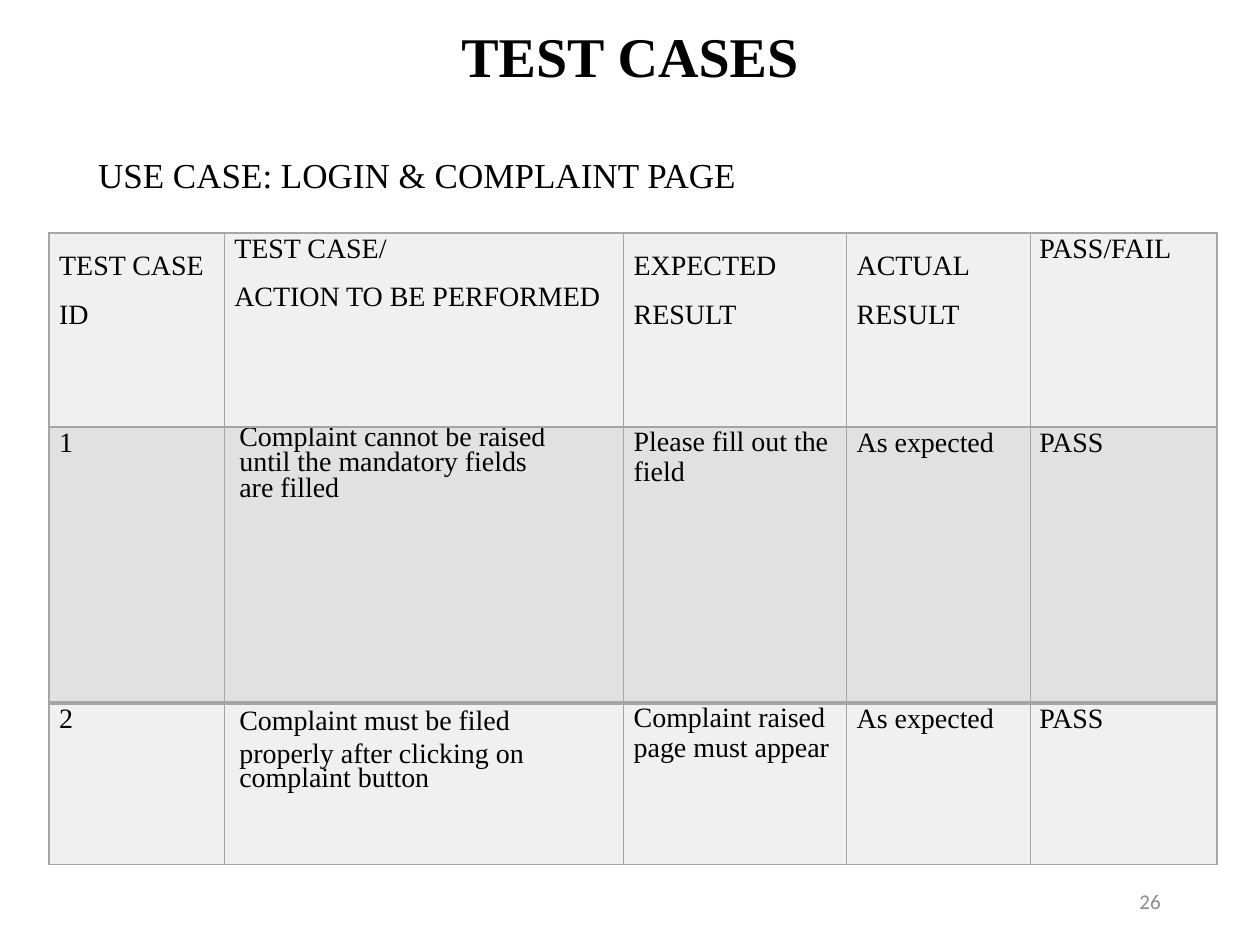
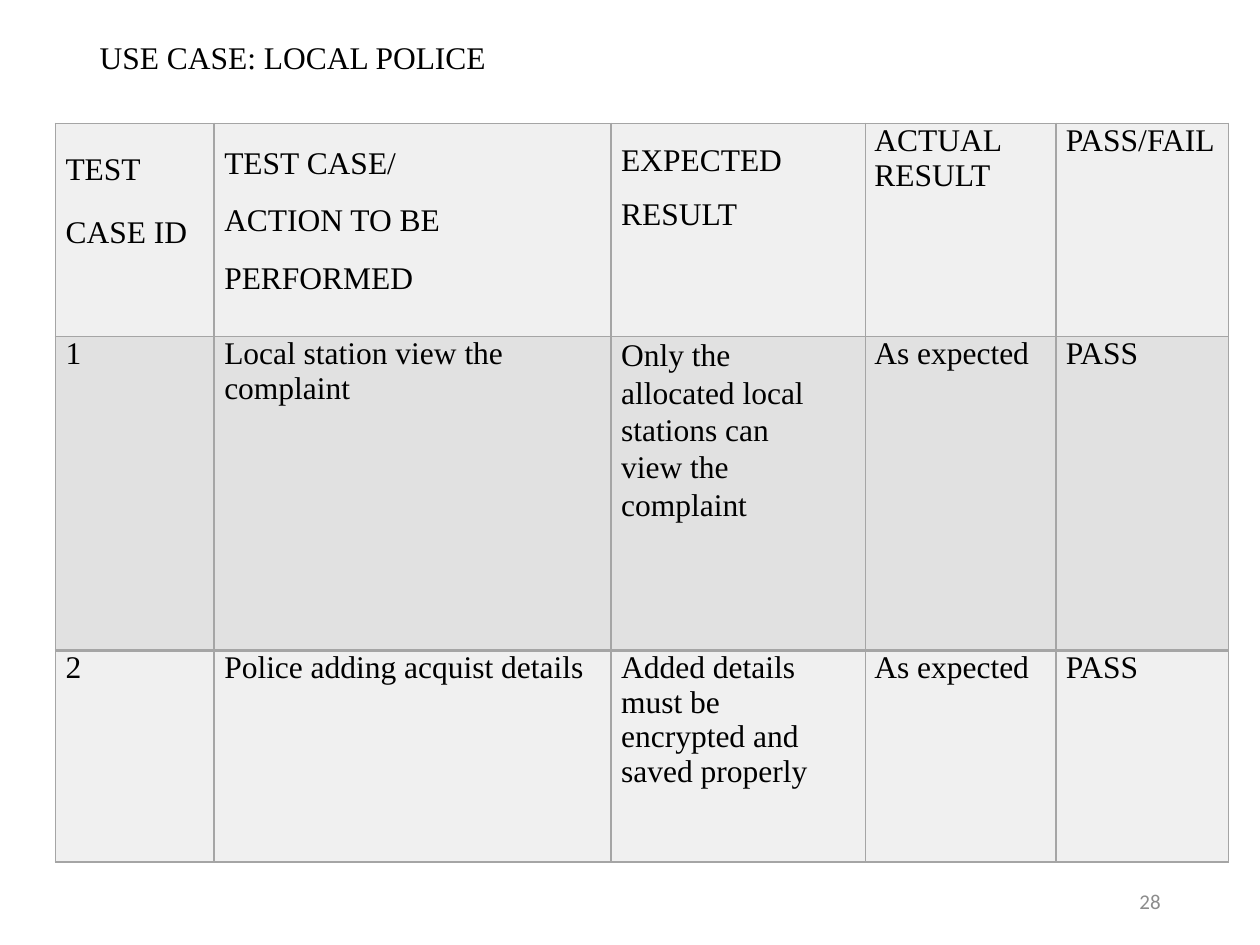
from dataclasses import dataclass

import pptx
import pptx.dml.color
import pptx.enum.text
import pptx.oxml
import pptx.oxml.ns
import pptx.util

RGBColor = pptx.dml.color.RGBColor
PP_ALIGN = pptx.enum.text.PP_ALIGN
MIDDLE = pptx.enum.text.MSO_ANCHOR.MIDDLE
Pt = pptx.util.Pt

BLACK = RGBColor(0x00, 0x00, 0x00)
WHITE = RGBColor(0xFF, 0xFF, 0xFF)
PAGE_GREY = RGBColor(0x8C, 0x8C, 0x8C)
RULE_GREY = RGBColor(0xA5, 0xA5, 0xA5)
LIGHT_BAND = RGBColor(0xF0, 0xF0, 0xF0)
DARK_BAND = RGBColor(0xE1, 0xE1, 0xE1)

SERIF = "Times New Roman"
SANS = "Calibri"

# The slide is a grid of 100 columns by 75 rows
GRID_COLUMNS, GRID_ROWS = 100, 75
TITLE_BOX = (6.9, 1.8, 86.2, 5.8)
PAGE_BOX = (70.6, 69.5, 22.5, 4)


@dataclass
class Entry:
    """Cell text: one line spacing per paragraph, space before later ones."""
    text: str
    spacing: tuple = (None,)
    before: float = 0
    left: float = 0.8
    right: float = 0


class TestCaseDeck:
    def __init__(self):
        self.prs = pptx.Presentation()
        self.prs.slide_width = pptx.util.Inches(10)
        self.prs.slide_height = pptx.util.Inches(7.5)
        self.slide = None

    def across(self, columns):
        return int(self.prs.slide_width * columns / GRID_COLUMNS)

    def down(self, rows):
        return int(self.prs.slide_height * rows / GRID_ROWS)

    def place(self, box):
        left, top, width, height = box
        return self.across(left), self.down(top), self.across(width), self.down(height)

    def set_text(self, frame, text, size, font=SERIF, color=BLACK, bold=False,
                 align=PP_ALIGN.LEFT):
        frame.text = text
        for paragraph in frame.paragraphs:
            paragraph.alignment = align
            for run in paragraph.runs:
                run.font.name = font
                run.font.size = Pt(size)
                run.font.bold = bold
                run.font.color.rgb = color

    def start(self, title, size, page, **style):
        """Add a slide with its title and page number."""
        self.slide = self.prs.slides.add_slide(self.prs.slide_layouts[5])
        self.slide.background.fill.solid()
        self.slide.background.fill.fore_color.rgb = WHITE
        heading = self.slide.shapes.title
        heading.left, heading.top, heading.width, heading.height = self.place(TITLE_BOX)
        frame = heading.text_frame
        frame.auto_size = pptx.enum.text.MSO_AUTO_SIZE.NONE
        frame.vertical_anchor = MIDDLE
        self.set_text(frame, title, size, **style)
        frame.paragraphs[0].line_spacing = 0.9
        page_frame = self.label(PAGE_BOX, str(page), 12, font=SANS,
                                color=PAGE_GREY, align=PP_ALIGN.RIGHT)
        page_frame.vertical_anchor = MIDDLE

    def label(self, box, text, size, **style):
        frame = self.slide.shapes.add_textbox(*self.place(box)).text_frame
        frame.word_wrap = True
        self.set_text(frame, text, size, **style)
        return frame

    def border(self, cell, top_width):
        properties = cell._tc.get_or_add_tcPr()
        widths = {"lnL": 1, "lnR": 1, "lnT": top_width, "lnB": 1}
        for position, (edge, width) in enumerate(widths.items()):
            properties.insert(position, pptx.oxml.parse_xml(
                f'<a:{edge} {pptx.oxml.ns.nsdecls("a")} w="{Pt(width)}"><a:solidFill>'
                f'<a:srgbClr val="{RULE_GREY}"/></a:solidFill></a:{edge}>'))

    def case_table(self, corner, widths, heights, size, entries):
        """Add a table whose rows alternate between two greys."""
        box = (*corner, sum(widths), sum(heights))
        cases = self.slide.shapes.add_table(
            len(heights), len(widths), *self.place(box)).table
        for column, width in zip(cases.columns, widths):
            column.width = self.across(width)
        for row, height in zip(cases.rows, heights):
            row.height = self.down(height)
        for r, row_entries in enumerate(entries):
            for c, entry in enumerate(row_entries):
                self.fill_cell(cases.cell(r, c), entry, size, r)

    def fill_cell(self, cell, entry, size, row):
        cell.margin_top = cell.margin_bottom = 0
        cell.margin_left = self.across(entry.left)
        cell.margin_right = self.across(entry.right)
        cell.fill.solid()
        cell.fill.fore_color.rgb = DARK_BAND if row % 2 else LIGHT_BAND
        self.border(cell, 2 if row == 2 else 1)
        self.set_text(cell.text_frame, entry.text, size)
        for paragraph, spacing in zip(cell.text_frame.paragraphs, entry.spacing):
            if spacing:
                paragraph.line_spacing = spacing
        for paragraph in cell.text_frame.paragraphs[1:]:
            paragraph.space_before = Pt(entry.before)


def outcome(actual_left, pass_left):
    """The two closing cells of every passed case."""
    return [Entry("As expected", left=actual_left), Entry("PASS", left=pass_left)]


def login_and_complaint(deck):
    deck.start("TEST CASES", 32, 26, bold=True, align=PP_ALIGN.CENTER)
    open_lines = (1.56,)
    passed = outcome(0.8, 0.7)
    deck.case_table(
        (3.9, 18.5), (13.9, 31.7, 17.7, 14.6, 14.8), (15.4, 21.9, 12.8), 16,
        [
            [Entry("TEST CASE ID", open_lines),
             Entry("TEST CASE/\nACTION TO BE PERFORMED", before=9.7),
             Entry("EXPECTED RESULT", open_lines),
             Entry("ACTUAL RESULT", open_lines),
             Entry("PASS/FAIL", left=0.7)],
            [Entry("1"),
             Entry("Complaint cannot be raised until the mandatory fields are filled",
                   (Pt(14.5),), left=1.2, right=5.5),
             Entry("Please fill out the field", (0.98,)), *passed],
            [Entry("2"),
             Entry("Complaint must be filed properly after clicking on\ncomplaint button",
                   (1.07, Pt(13.8)), left=1.2, right=5.5),
             Entry("Complaint raised page must appear", (0.98,)), *passed],
        ])
    deck.label((6.8, 11.7, 64.5, 4.4), "USE CASE: LOGIN & COMPLAINT PAGE", 20)


def local_police(deck):
    deck.start("USE CASE: LOCAL POLICE", 18, 28)
    passed = outcome(0.7, 0.8)
    deck.case_table(
        (4.4, 9.8), (12.6, 31.5, 20.2, 15.1, 13.7), (16.9, 24.9, 16.8), 18,
        [
            [Entry("TEST CASE ID", (1.82,)),
             Entry("TEST CASE/ ACTION TO BE PERFORMED", (1.65,), right=11),
             Entry("EXPECTED RESULT", (1.56,)),
             Entry("ACTUAL RESULT", left=0.7),
             Entry("PASS/FAIL")],
            [Entry("1"),
             Entry("Local station view the complaint", right=1),
             Entry("Only the allocated local stations can view the complaint",
                   (1.07,), right=4), *passed],
            [Entry("2"),
             Entry("Police adding acquist details"),
             Entry("Added details must be encrypted and saved properly", right=4),
             *passed],
        ])


def main():
    deck = TestCaseDeck()
    login_and_complaint(deck)
    local_police(deck)
    deck.prs.save("out.pptx")


if __name__ == "__main__":
    main()
